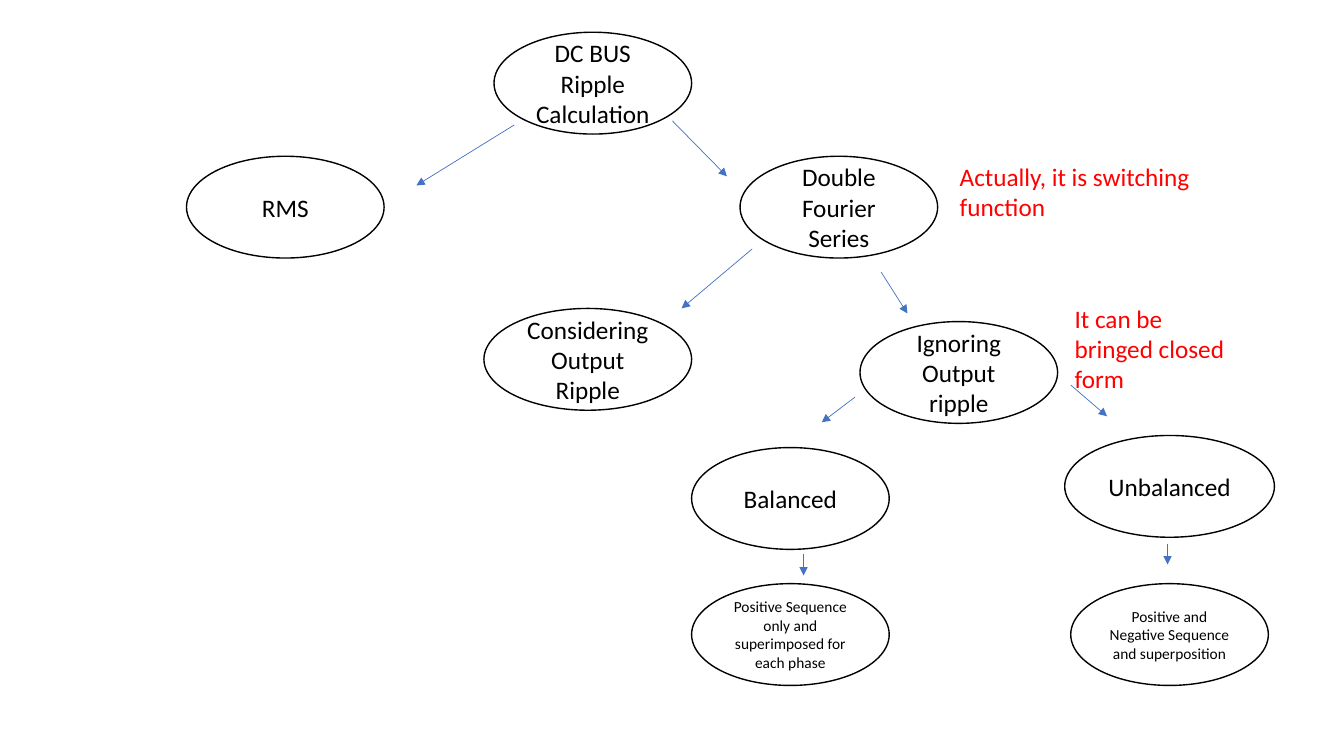
from lxml import etree
from pptx import Presentation
from pptx import util as u
from pptx.dml.color import RGBColor
from pptx.enum import shapes, text
from pptx.oxml.ns import qn

PX = 9144  # 100 px to the inch
NODE_WIDTH, NODE_HEIGHT = 196, 101


def color(value):
    return RGBColor.from_string(value)


def write(shape, wording, size, font_color, alignment):
    frame = shape.text_frame
    frame.word_wrap = True
    frame.text = wording
    paragraph = frame.paragraphs[0]
    paragraph.alignment = alignment
    font = paragraph.runs[0].font
    font.name, font.size = "Calibri", u.Pt(size)
    font.color.rgb = color(font_color)


presentation = Presentation()
presentation.slide_width = 1333 * PX
presentation.slide_height = 750 * PX
slide = presentation.slides.add_slide(presentation.slide_layouts[6])

# Tree nodes: wording, left, top, width, text size
nodes = [
    ("DC BUS Ripple Calculation", 490, 32, NODE_WIDTH, 18),
    ("RMS", 185, 155, NODE_WIDTH, 18),
    ("Double Fourier Series", 734, 155, NODE_WIDTH, 18),
    ("Considering Output Ripple", 480, 306, 206, 18),
    ("Ignoring Output ripple", 853, 319, NODE_WIDTH, 18),
    ("Balanced", 686, 444, NODE_WIDTH, 18),
    ("Unbalanced", 1056, 432, 208, 18),
    ("Positive Sequence only and superimposed for each phase", 686, 579, NODE_WIDTH, 11),
    ("Positive and Negative Sequence and superposition", 1062, 579, NODE_WIDTH, 11),
]
for wording, left, top, width, size in nodes:
    node = slide.shapes.add_shape(
        shapes.MSO_SHAPE.OVAL, left * PX, top * PX, width * PX, NODE_HEIGHT * PX)
    node.shadow.inherit = False
    node.fill.solid()
    node.fill.fore_color.rgb = color("FFFFFF")
    node.line.color.rgb = color("000000")
    node.line.width = u.Pt(1)
    node.text_frame.vertical_anchor = text.MSO_ANCHOR.MIDDLE
    write(node, wording, size, "000000", text.PP_ALIGN.CENTER)

# Arrows between the nodes: start x, start y, end x, end y
arrows = [
    (510, 124, 413, 184),
    (667, 120, 721, 175),
    (746, 247, 676, 306),
    (874, 270, 900, 311),
    (848, 394, 815, 419),
    (1062, 382, 1098, 413),
    (797, 550, 797, 571),
    (1158, 540, 1158, 560),
]
for ends in arrows:
    arrow = slide.shapes.add_connector(
        shapes.MSO_CONNECTOR.STRAIGHT, *(value * PX for value in ends))
    arrow.line.color.rgb = color("4472C4")
    arrow.line.width = u.Pt(0.5)
    properties = arrow._element.spPr
    etree.SubElement(properties.find(qn("a:ln")), qn("a:tailEnd"), type="triangle")
    etree.SubElement(properties, qn("a:effectLst"))

# Red remarks: wording, left, top, width
remarks = [
    ("Actually, it is switching function", 942, 155, 251),
    ("It can be bringed closed form", 1056, 296, 181),
]
for wording, left, top, width in remarks:
    remark = slide.shapes.add_textbox(left * PX, top * PX, width * PX, NODE_HEIGHT * PX)
    write(remark, wording, 18, "FF0000", text.PP_ALIGN.LEFT)

presentation.save("out.pptx")
